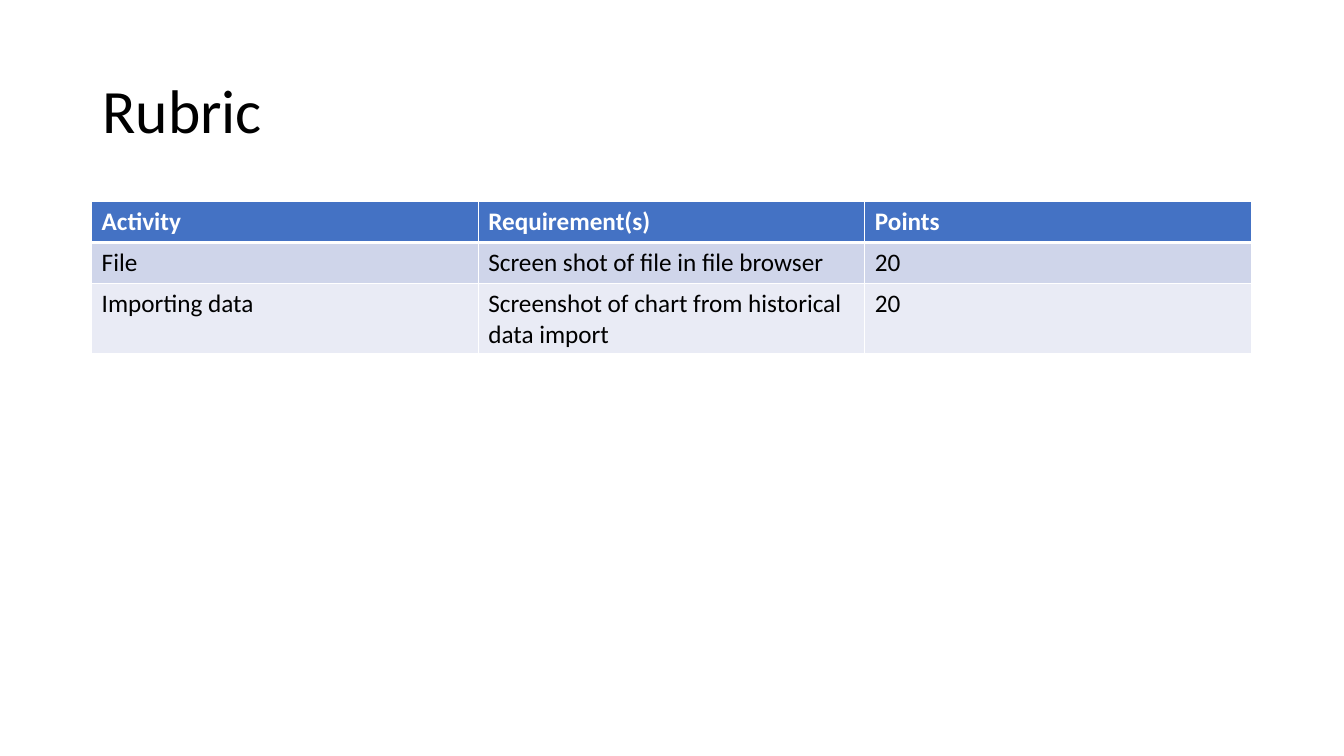
from lxml import etree
from pptx import Presentation
from pptx.dml.color import RGBColor
from pptx.enum.text import MSO_ANCHOR
from pptx.oxml.ns import qn
from pptx.util import Cm, Pt

MIDDLE = MSO_ANCHOR.MIDDLE
BLACK = RGBColor(0x00, 0x00, 0x00)
WHITE = RGBColor(0xFF, 0xFF, 0xFF)
HEADER_BLUE = RGBColor(0x44, 0x72, 0xC4)
BANDS = (RGBColor(0xCF, 0xD5, 0xEA), RGBColor(0xE9, 0xEB, 0xF5))

RUBRIC = (
    ("Activity", "Requirement(s)", "Points"),
    ("File", "Screen shot of file in file browser", "20"),
    ("Importing data", "Screenshot of chart from historical data import", "20"),
)
ROW_HEIGHTS = (1.03, 1.03, 1.78)


def write_text(text_frame, text, font="Calibri", size=18, color=BLACK, bold=False, line_spacing=1.0):
    paragraph = text_frame.paragraphs[0]
    paragraph.line_spacing = line_spacing
    run = paragraph.add_run()
    run.text = text
    run.font.name = font
    run.font.size = Pt(size)
    run.font.color.rgb = color
    run.font.bold = bold


class RubricSlide:
    """Adds styled elements to the current slide."""

    def __init__(self, slide, font="Calibri", border_color=WHITE):
        self.slide = slide
        self.font = font
        self.border_color = border_color

    def title(self, text, left, top, width, height):
        shape = self.slide.shapes.add_textbox(Cm(left), Cm(top), Cm(width), Cm(height))
        shape.text_frame.word_wrap = True
        shape.text_frame.vertical_anchor = MIDDLE
        write_text(shape.text_frame, text, font=self.font, size=44, line_spacing=0.9)

    def borders(self, cell, widths):
        properties = cell._tc.get_or_add_tcPr()
        for index, (side, width) in enumerate(widths.items()):
            line = etree.Element(qn(f"a:ln{side}"), w=str(Pt(width)))
            fill = etree.SubElement(line, qn("a:solidFill"))
            etree.SubElement(fill, qn("a:srgbClr"), val=str(self.border_color))
            properties.insert(index, line)

    def table(self, rows, left, top, width, heights):
        table = self.slide.shapes.add_table(
            len(rows), len(rows[0]), Cm(left), Cm(top), Cm(width), Cm(sum(heights))
        ).table
        for row_index, (texts, height) in enumerate(zip(rows, heights)):
            table.rows[row_index].height = Cm(height)
            header = row_index == 0
            for column_index, text in enumerate(texts):
                cell = table.cell(row_index, column_index)
                cell.fill.solid()
                cell.fill.fore_color.rgb = HEADER_BLUE if header else BANDS[(row_index - 1) % 2]
                write_text(
                    cell.text_frame, text, font=self.font,
                    color=WHITE if header else BLACK, bold=header,
                )
                self.borders(cell, {
                    "L": 1, "R": 1, "T": 3 if row_index == 1 else 1, "B": 3 if header else 1,
                })


def main():
    presentation = Presentation()
    presentation.slide_width = Cm(33.87)
    presentation.slide_height = Cm(19.05)
    slide = presentation.slides.add_slide(presentation.slide_layouts[6])
    rubric = RubricSlide(slide)
    rubric.title("Rubric", 2.33, 1.01, 29.21, 3.68)
    rubric.table(RUBRIC, 2.31, 5.08, 29.23, ROW_HEIGHTS)
    presentation.save("out.pptx")


if __name__ == "__main__":
    main()
